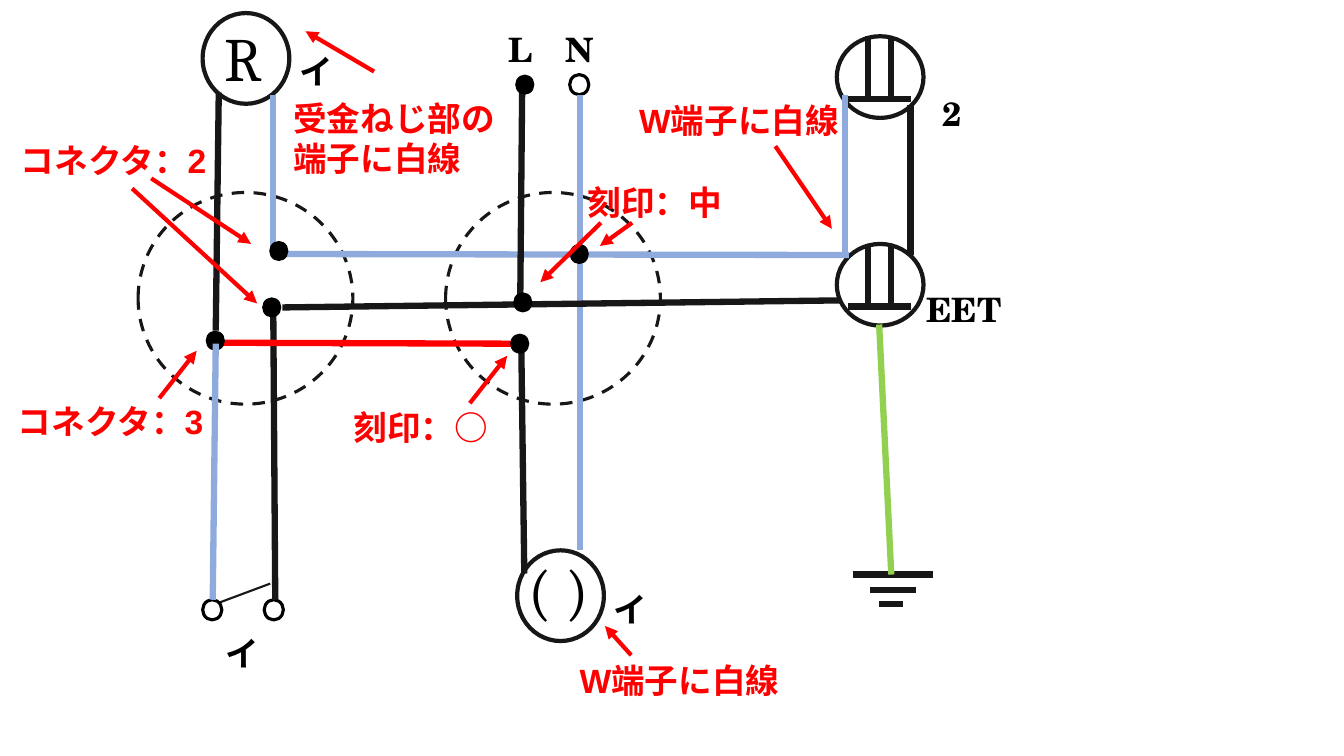
import pptx
import pptx.dml.color
import pptx.enum.dml
import pptx.enum.shapes
import pptx.enum.text
import pptx.oxml.ns
import pptx.util
from lxml import etree

Inches = pptx.util.Inches
Pt = pptx.util.Pt
RGB = pptx.dml.color.RGBColor.from_string
SHAPES = pptx.enum.shapes.MSO_SHAPE

theme = {
    "ink": RGB("181717"),
    "black": RGB("000000"),
    "white": RGB("FFFFFF"),
    "neutral": RGB("8FAADC"),
    "earth": RGB("92D050"),
    "red": RGB("FF0000"),
    "label_size": Pt(24),
    "symbol_size": Pt(44),
    "wire": 4.5,
    "arrow": 3,
    "device": 3,
    "terminal": 2.25,
    "blade": 1.5,
    "label_font": "TeX Gyre Schola",
    "note_font": "Arial",
    "symbol_font": "Cambria",
}

deck = pptx.Presentation()
deck.slide_width = Inches(13.33)
deck.slide_height = Inches(7.5)
slide = deck.slides.add_slide(deck.slide_layouts[6])


def draw_circle(left, top, width, height, fill, outline, weight, dash=None):
    circle = slide.shapes.add_shape(
        SHAPES.OVAL, Inches(left), Inches(top), Inches(width), Inches(height))
    circle.shadow.inherit = False
    if fill:
        circle.fill.solid()
        circle.fill.fore_color.rgb = theme[fill]
    else:
        circle.fill.background()
    if outline:
        circle.line.color.rgb = theme[outline]
        for attribute, value in {"width": Pt(weight), "dash_style": dash}.items():
            setattr(circle.line, attribute, value)
    else:
        circle.line.fill.background()


def draw_line(start, end, color, weight, arrow=False):
    line = slide.shapes.add_connector(
        pptx.enum.shapes.MSO_CONNECTOR.STRAIGHT, *map(Inches, start + end))
    line.line.color.rgb = theme[color]
    line.line.width = Pt(weight)
    if arrow:
        outline = line.line._get_or_add_ln()
        etree.SubElement(outline, pptx.oxml.ns.qn("a:tailEnd"), type="triangle")
    etree.SubElement(line._element.spPr, pptx.oxml.ns.qn("a:effectLst"))


for lamp_left, lamp_top in [(5.13, 5.46), (2.01, 0.13)]:
    draw_circle(lamp_left, lamp_top, 0.86, 0.9, "white", "ink", theme["device"])

for box_left in [1.37, 4.42]:
    draw_circle(box_left, 1.91, 2.13, 2.1, "white", "ink", theme["terminal"],
                pptx.enum.dml.MSO_LINE.DASH)

for outlet_top in [0.36, 2.42]:
    draw_circle(8.3, outlet_top, 0.86, 0.81, "white", "ink", theme["device"])
    draw_line((9.04, outlet_top + 0.62), (8.41, outlet_top + 0.62), "ink", theme["wire"])
    for slot_x in [8.61, 8.84]:
        draw_line((slot_x, outlet_top + 0.6), (slot_x, outlet_top), "ink", theme["wire"])

draw_line((2.68, 5.79), (2.17, 5.98), "ink", theme["blade"])
for terminal_left, terminal_top in [(2.62, 5.95), (2.01, 5.95), (5.65, 0.74)]:
    draw_circle(terminal_left, terminal_top, 0.19, 0.2, None, "black", theme["terminal"])

wires = [
    ((8.46, 5.7), (9.25, 5.7), "ink"),
    ((8.63, 5.85), (9.09, 5.85), "ink"),
    ((8.72, 5.99), (8.96, 5.99), "ink"),
    ((5.75, 0.94), (5.75, 5.46), "neutral"),
    ((8.42, 2.53), (2.71, 2.52), "neutral"),
    ((2.71, 0.94), (2.71, 2.52), "neutral"),
    ((8.38, 0.94), (8.38, 2.52), "neutral"),
    ((8.34, 2.98), (2.8, 3.05), "ink"),
    ((5.18, 0.77), (5.16, 2.98), "ink"),
    ((2.71, 3.01), (2.73, 5.95), "ink"),
    ((9.03, 1.04), (9.03, 2.53), "ink"),
    ((8.72, 3.22), (8.84, 5.7), "earth"),
    ((2.17, 0.92), (2.14, 3.28), "ink"),
    ((5.14, 3.41), (2.17, 3.4), "red"),
    ((5.2, 5.69), (5.17, 3.38), "ink"),
]
for start, end, color in wires:
    draw_line(start, end, color, theme["wire"])

joints = [(5.11, 0.74), (2.67, 2.39), (5.65, 2.42), (5.09, 2.9),
          (2.6, 2.95), (2.04, 3.28), (5.06, 3.31)]
for joint_left, joint_top in joints:
    draw_circle(joint_left, joint_top, 0.19, 0.2, "black", None, 0)
draw_line((2.14, 3.41), (2.11, 5.95), "neutral", theme["wire"])

label = {"name": theme["label_font"], "size": theme["label_size"], "bold": True}
note = {**label, "name": theme["note_font"]}
symbol = {"name": theme["symbol_font"], "size": theme["symbol_size"], "bold": False}

texts = [
    (5.99, 5.79, 0.54, 0.5, False, "black", [[("イ", label)]]),
    (5.14, 5.43, 0.85, 0.84, False, "black", [[("( )", symbol)]]),
    (9.25, 0.87, 0.67, 0.5, True, "black", [[("2", label)]]),
    (2.14, 6.23, 0.54, 0.5, False, "black", [[("イ", label)]]),
    (5.51, 0.24, 0.48, 0.5, False, "black", [[("N", label)]]),
    (4.95, 0.24, 0.43, 0.5, False, "black", [[("L", label)]]),
    (2.87, 0.46, 0.54, 0.5, False, "black", [[("イ", label)]]),
    (2.13, 0.15, 0.59, 0.84, False, "black", [[("R", symbol)]]),
    (9.09, 2.82, 0.99, 0.5, True, "black", [[("EET", label)]]),
    (5.65, 6.5, 2.19, 0.5, True, "red", [[("W端子に白線", note)]]),
    (6.24, 0.94, 2.19, 0.5, True, "red", [[("W端子に白線", note)]]),
    (2.81, 0.92, 2.22, 0.91, False, "red",
     [[("受金ねじ部の", note)], [("端子に白線", note)]]),
    (0.08, 3.93, 2.1, 0.5, True, "red", [[("コネクタ：", label), ("3", note)]]),
    (0.11, 1.34, 2.1, 0.5, True, "red", [[("コネクタ：", label), ("2", note)]]),
    (3.41, 3.99, 1.55, 0.5, False, "red", [[("刻印：○", label)]]),
    (5.73, 1.76, 1.55, 0.5, False, "red", [[("刻印：中", label)]]),
]
for left, top, width, height, wraps, color, lines in texts:
    caption = slide.shapes.add_textbox(
        Inches(left), Inches(top), Inches(width), Inches(height)).text_frame
    frame_format = {"word_wrap": wraps,
                    "auto_size": pptx.enum.text.MSO_AUTO_SIZE.SHAPE_TO_FIT_TEXT}
    for attribute, value in frame_format.items():
        setattr(caption, attribute, value)
    for number, pieces in enumerate(lines):
        paragraph = caption.add_paragraph() if number else caption.paragraphs[0]
        for words, style in pieces:
            run = paragraph.add_run()
            run.text = words
            run.font.color.rgb = theme[color]
            for attribute, value in style.items():
                setattr(run.font, attribute, value)

pointers = [
    ((6.26, 6.5), (6, 6.21)),
    ((7.69, 1.45), (8.25, 2.27)),
    ((3.71, 0.71), (3.03, 0.31)),
    ((1.58, 3.95), (1.95, 3.48)),
    ((1.31, 1.87), (2.55, 3.01)),
    ((1.5, 1.77), (2.49, 2.42)),
    ((4.66, 4), (5.03, 3.53)),
    ((5.96, 2.21), (5.36, 2.8)),
    ((6.27, 2.21), (5.95, 2.44)),
]
for start, end in pointers:
    draw_line(start, end, "red", theme["arrow"], arrow=True)

deck.save("out.pptx")
